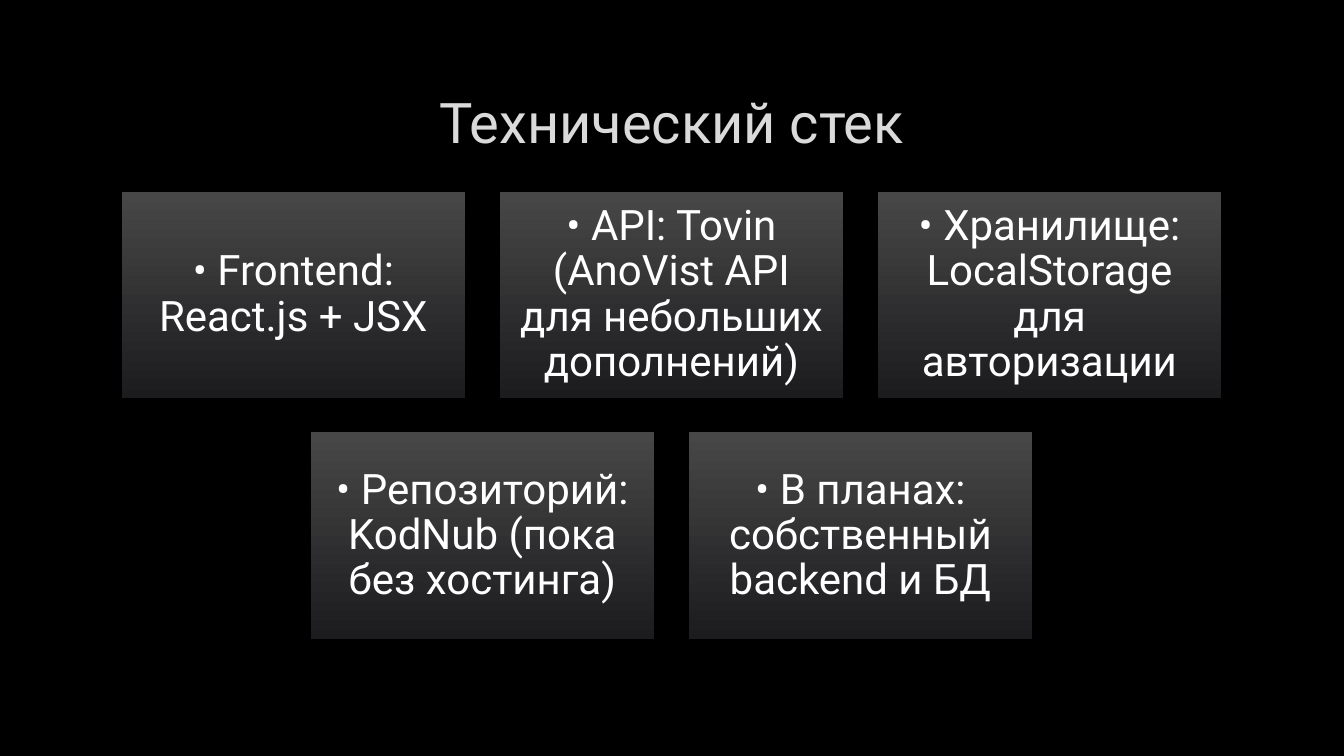
"""Build the technical stack slide: a title above five centred cards."""
from pptx import Presentation
from pptx.dml.color import RGBColor
from pptx.enum.shapes import MSO_SHAPE
from pptx.enum.text import MSO_ANCHOR, PP_ALIGN
from pptx.util import Inches, Pt

COLORS = {"background": "000000", "title": "DADADA", "text": "FFFFFF",
          "card_top": "474748", "card_bottom": "1C1C1E"}
ROWS = [
    ["• Frontend: React.js + JSX",
     "• API: Tovin (AnoVist API для небольших дополнений)",
     "• Хранилище: LocalStorage для авторизации"],
    ["• Репозиторий: KodNub (пока без хостинга)",
     "• В планах: собственный backend и БД"],
]
CENTER, TOP = 6.66, 1.9
CARD_W, CARD_H, GAP, INSET = 3.41, 2.05, 0.34, 0.12


def rgb(name):
    return RGBColor.from_string(COLORS[name])


def write(sp, text, size, color):
    tf = sp.text_frame
    tf.word_wrap = True
    tf.vertical_anchor = MSO_ANCHOR.MIDDLE
    p = tf.paragraphs[0]
    p.text = text
    p.alignment = PP_ALIGN.CENTER
    p.font.name = "Roboto"
    p.font.size = Pt(size)
    p.font.color.rgb = rgb(color)
    return tf


prs = Presentation()
prs.slide_width, prs.slide_height = Inches(13.33), Inches(7.5)
s = prs.slides.add_slide(prs.slide_layouts[6])
s.background.fill.solid()
s.background.fill.fore_color.rgb = rgb("background")

title = s.shapes.add_textbox(Inches(1), Inches(0.67), Inches(11.32), Inches(1.06))
write(title, "Технический стек", 40, "title")

for i, row in enumerate(ROWS):
    left = CENTER - (len(row) * (CARD_W + GAP) - GAP) / 2
    top = TOP + i * (CARD_H + GAP)
    for j, text in enumerate(row):
        card = s.shapes.add_shape(
            MSO_SHAPE.RECTANGLE, Inches(left + j * (CARD_W + GAP)), Inches(top),
            Inches(CARD_W), Inches(CARD_H))
        card.shadow.inherit = False
        card.line.fill.background()
        card.fill.gradient()
        card.fill.gradient_angle = 270
        for stop, color in zip(card.fill.gradient_stops, ("card_top", "card_bottom")):
            stop.color.rgb = rgb(color)
        tf = write(card, text, 30, "text")
        tf.margin_left = tf.margin_right = Inches(INSET)
        tf.margin_top = tf.margin_bottom = Inches(INSET)
        tf.paragraphs[0].line_spacing = 0.9

prs.save("out.pptx")
